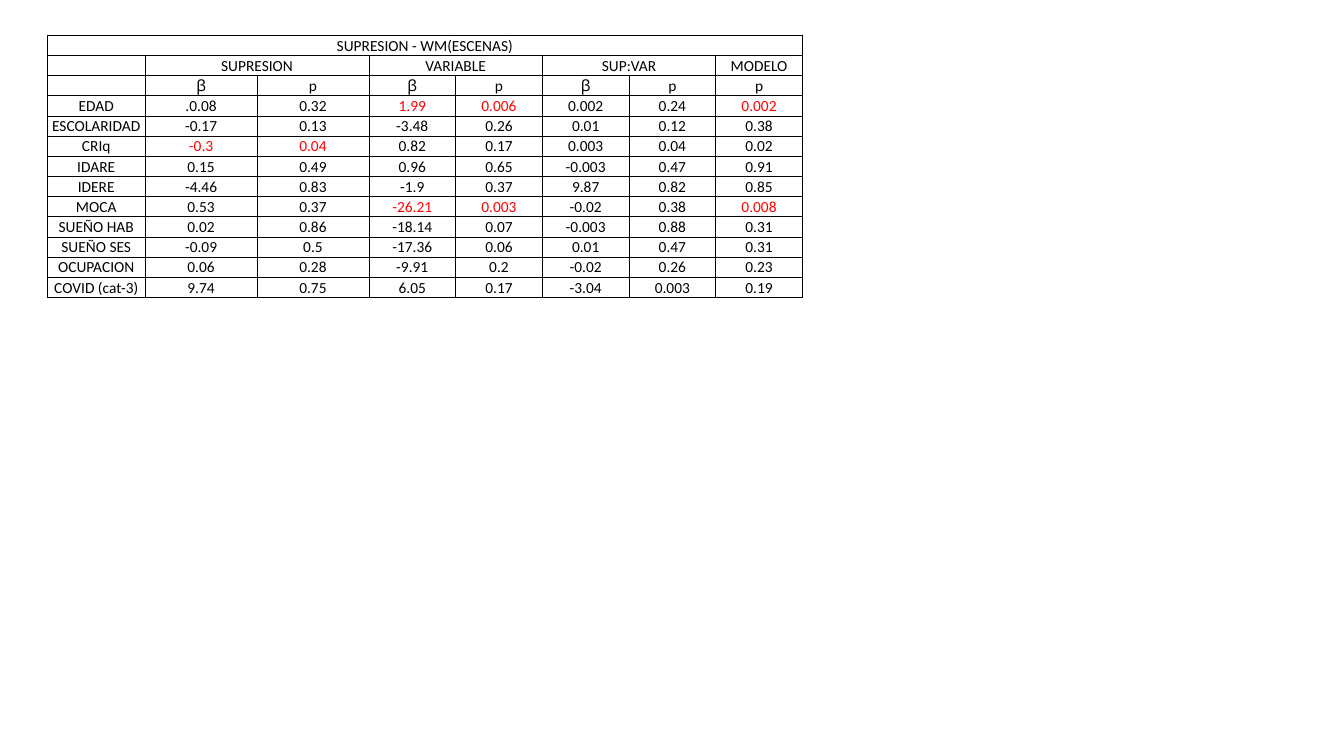
from dataclasses import dataclass

from lxml.etree import SubElement
from pptx import Presentation
from pptx.dml.color import RGBColor
from pptx.enum.text import MSO_ANCHOR as ANCHOR, PP_ALIGN as ALIGN
from pptx.oxml import parse_xml
from pptx.oxml.ns import qn
from pptx.util import Inches, Pt


@dataclass(frozen=True)
class Theme:
    font: str = "Calibri"
    size: float = 11
    ink: str = "000000"
    significant: str = "FF0000"
    border: float = 0.5


THEME = Theme()
LEFT, TOP, ROW_HEIGHT = 0.47, 0.35, 0.2
COL_WIDTHS = [0.97] + [1.11] * 2 + [0.86] * 5

TITLE = "SUPRESION - WM(ESCENAS)"
# Group name and the number of columns it spans
GROUPS = [("", 1), ("SUPRESION", 2), ("VARIABLE", 2), ("SUP:VAR", 2), ("MODELO", 1)]
STATISTICS = [""] + ["\ua7b5", "p"] * 3 + ["p"]
# A trailing * marks a significant value, shown in red
RESULTS = [
    ("EDAD", ".0.08 0.32 1.99* 0.006* 0.002 0.24 0.002*"),
    ("ESCOLARIDAD", "-0.17 0.13 -3.48 0.26 0.01 0.12 0.38"),
    ("CRIq", "-0.3* 0.04* 0.82 0.17 0.003 0.04 0.02"),
    ("IDARE", "0.15 0.49 0.96 0.65 -0.003 0.47 0.91"),
    ("IDERE", "-4.46 0.83 -1.9 0.37 9.87 0.82 0.85"),
    ("MOCA", "0.53 0.37 -26.21* 0.003* -0.02 0.38 0.008*"),
    ("SUEÑO HAB", "0.02 0.86 -18.14 0.07 -0.003 0.88 0.31"),
    ("SUEÑO SES", "-0.09 0.5 -17.36 0.06 0.01 0.47 0.31"),
    ("OCUPACION", "0.06 0.28 -9.91 0.2 -0.02 0.26 0.23"),
    ("COVID (cat-3)", "9.74 0.75 6.05 0.17 -3.04 0.003 0.19"),
]


def write_text(tf, text, size=THEME.size, color=THEME.ink, align=ALIGN.CENTER):
    p = tf.paragraphs[0]
    p.alignment = align
    if not text:
        # An empty paragraph takes its line height from its end mark
        SubElement(p._p, qn("a:endParaRPr"), sz=str(int(size * 100)))
        return
    r = p.add_run()
    r.text = text
    r.font.name = THEME.font
    r.font.size = Pt(size)
    r.font.color.rgb = RGBColor.from_string(color)


def add_borders(cell):
    tc_pr = cell._tc.get_or_add_tcPr()
    for i, side in enumerate(("lnL", "lnR", "lnT", "lnB")):
        tc_pr.insert(i, parse_xml(
            f'<a:{side} xmlns:a="http://schemas.openxmlformats.org/drawingml/2006/main" '
            f'w="{Pt(THEME.border)}"><a:solidFill><a:srgbClr val="{THEME.ink}"/>'
            f'</a:solidFill></a:{side}>'))


def format_cell(cell):
    cell.fill.background()
    cell.vertical_anchor = ANCHOR.MIDDLE
    cell.margin_left = cell.margin_right = cell.margin_top = Inches(0.01)
    cell.margin_bottom = 0
    add_borders(cell)


def write_cell(cell, text):
    color = THEME.significant if text.endswith("*") else THEME.ink
    write_text(cell.text_frame, text.rstrip("*"), color=color)


def write_spans(table, row, spans):
    col = 0
    for text, width in spans:
        cell = table.cell(row, col)
        if width > 1:
            cell.merge(table.cell(row, col + width - 1))
        write_cell(cell, text)
        col += width


def add_grid(slide, n_rows):
    n_cols = len(COL_WIDTHS)
    table = slide.shapes.add_table(
        n_rows, n_cols, Inches(LEFT), Inches(TOP),
        Inches(sum(COL_WIDTHS)), Inches(n_rows * ROW_HEIGHT)).table
    table.first_row = table.horz_banding = False
    for col, width in zip(table.columns, COL_WIDTHS):
        col.width = Inches(width)
    for row in table.rows:
        row.height = Inches(ROW_HEIGHT)
    for cell in table.iter_cells():
        format_cell(cell)
    return table


def main():
    prs = Presentation()
    prs.slide_width, prs.slide_height = Inches(13.33), Inches(7.5)
    s = prs.slides.add_slide(prs.slide_layouts[6])

    # Header rows, then one row for each variable
    body = [STATISTICS] + [[name, *values.split()] for name, values in RESULTS]
    table = add_grid(s, len(body) + 2)
    write_spans(table, 0, [(TITLE, len(COL_WIDTHS))])
    write_spans(table, 1, GROUPS)
    for i, texts in enumerate(body, start=2):
        for j, text in enumerate(texts):
            write_cell(table.cell(i, j), text)

    prs.save("out.pptx")


main()
